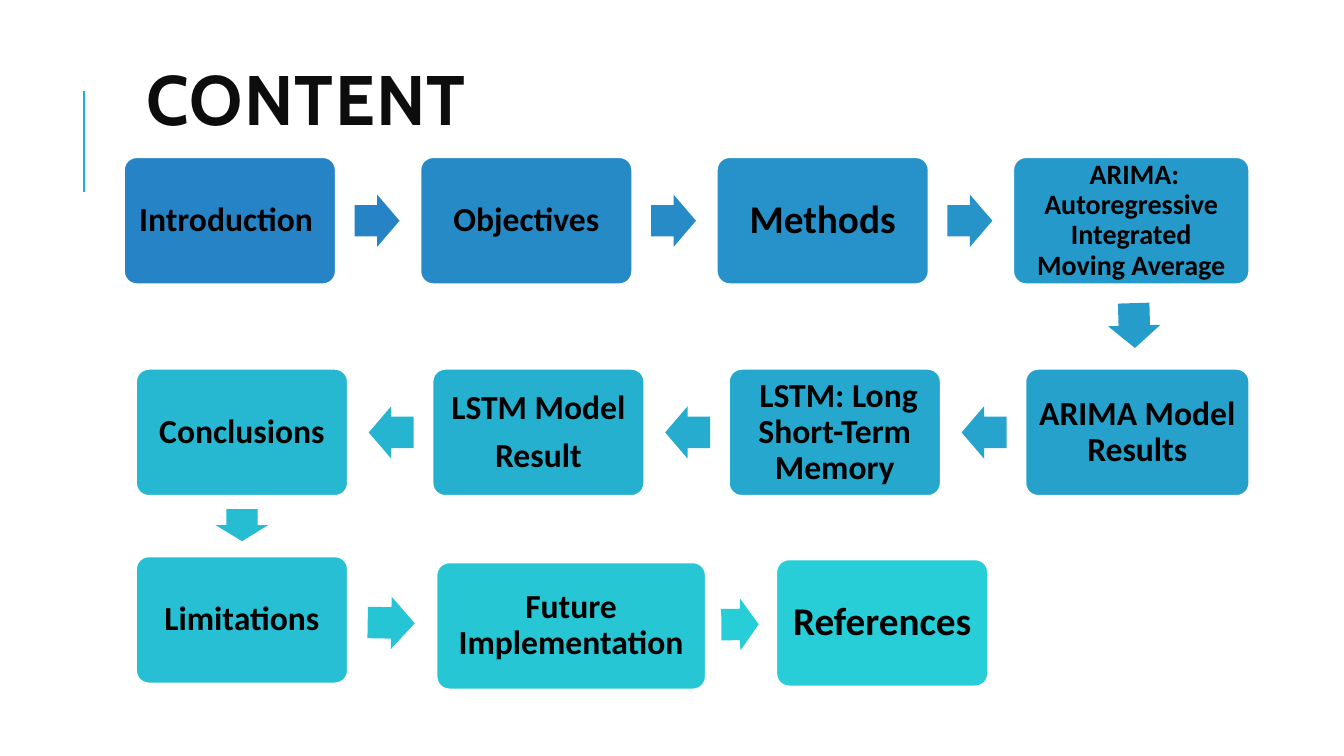
import math

import pptx
import pptx.dml.color
import pptx.enum.shapes
import pptx.enum.text
import pptx.util
from lxml import etree
from pptx.oxml.ns import qn

TITLE = "CONTENT"
COLORS = {"first": "2683C6", "last": "27CED7", "rule": "1CADE4",
          "title": "0D0D0D", "text": "000000", "edge": "FFFFFF"}

# Flow order: text, size in points, row, column, width
STEPS = [
    ("Introduction ", 24, 0, 0, 2.1),
    ("Objectives", 24, 0, 1, 2.1),
    ("Methods", 28, 0, 2, 2.1),
    (" ARIMA: Autoregressive Integrated Moving Average", 20, 0, 3, 2.34),
    ("ARIMA Model Results", 24, 1, 3, 2.22),
    (" LSTM: Long Short-Term Memory", 24, 1, 2, 2.1),
    ("LSTM Model\nResult", 24, 1, 1, 2.1),
    ("Conclusions", 24, 1, 0, 2.1),
    ("Limitations", 24, 2, 0, 2.1),
    ("Future Implementation", 24, 2, 1, 2.67),
    ("References", 28, 2, 2, 2.1),
]
PITCH = 2.94
ROW_LEFTS = [[start + PITCH * i for i in range(4)] for start in (1.23, 1.35)]
ROW_LEFTS.append([1.35, 4.33, 7.7])
ROW_TOPS = [[1.56] * 4, [3.66] * 4, [5.52, 5.58, 5.55]]
BOX_HEIGHT = 1.26
ARROW_WIDTH = 0.52
ARROW_SHARE = 0.53  # arrow length as a share of the gap between boxes

inch = pptx.util.Inches
rgb = pptx.dml.color.RGBColor.from_string
SHAPES = pptx.enum.shapes.MSO_SHAPE
MIDDLE = pptx.enum.text.MSO_ANCHOR.MIDDLE


def blend(share):
    """Colour at a share of the way from the first to the last step."""
    ends = [bytes.fromhex(COLORS[k]) for k in ("first", "last")]
    return "".join(f"{int(a + (b - a) * share):02X}" for a, b in zip(*ends))


def set_font(p, name, size, color):
    p.font.name, p.font.size, p.font.bold = name, pptx.util.Pt(size), True
    p.font.color.rgb = rgb(COLORS[color])


def add_filled(s, kind, box, adjustments, fill):
    sp = s.shapes.add_shape(kind, *map(inch, box))
    for i, value in enumerate(adjustments):
        sp.adjustments[i] = value
    sp.shadow.inherit = False
    sp.fill.solid()
    sp.fill.fore_color.rgb = rgb(fill)
    return sp


def add_step(s, text, size, box, fill):
    sp = add_filled(s, SHAPES.ROUNDED_RECTANGLE, box, [0.1], fill)
    sp.line.color.rgb = rgb(COLORS["edge"])
    sp.line.width = pptx.util.Pt(1.25)
    tf = sp.text_frame
    tf.word_wrap, tf.vertical_anchor = True, MIDDLE
    tf.margin_left = tf.margin_right = inch(size / 240)
    tf.margin_top = tf.margin_bottom = inch(size / 240)
    tf.text = text
    for p in tf.paragraphs:
        p.alignment = pptx.enum.text.PP_ALIGN.CENTER
        p.line_spacing = 0.9
        p.space_after = pptx.util.Pt(size * 0.35)
        set_font(p, "Calibri", size, "text")


def add_arrow(s, a, b, fill):
    """Arrow in the middle of the gap, pointing from box a to box b."""
    (ax, ay), (bx, by) = [(x + w / 2, y + h / 2) for x, y, w, h in (a, b)]
    dx, dy = bx - ax, by - ay
    cx, cy = (ax + bx) / 2, (ay + by) / 2
    axis = 0 if abs(dx) > abs(dy) else 1
    low, high = sorted((a, b), key=lambda box: box[axis])
    near = low[axis] + low[axis + 2]
    gap, middle = high[axis] - near, (high[axis] + near) / 2
    if axis == 0:
        cx = middle - math.copysign(0.01, dx)
    else:
        cy = middle - 0.01
    length = gap * ARROW_SHARE
    box = (cx - length / 2, cy - ARROW_WIDTH / 2, length, ARROW_WIDTH)
    sp = add_filled(s, SHAPES.RIGHT_ARROW, box, [0.6, 0.5], fill)
    sp.line.fill.background()
    sp.rotation = math.degrees(math.atan2(dy, dx)) % 360


def add_title(s):
    sp = s.shapes.title
    sp.left, sp.top, sp.width, sp.height = map(inch, (1.35, 0.22, 10.63, 1.64))
    tf = sp.text_frame
    tf.text = TITLE
    tf.vertical_anchor = MIDDLE
    tf.auto_size = pptx.enum.text.MSO_AUTO_SIZE.NONE
    p = tf.paragraphs[0]
    p.alignment = pptx.enum.text.PP_ALIGN.LEFT
    p.line_spacing = 0.8
    set_font(p, "Cabin", 50, "title")
    p.runs[0].font._element.set("spc", "100")


def add_rule(s):
    line = s.shapes.add_connector(pptx.enum.shapes.MSO_CONNECTOR.STRAIGHT,
                                  *map(inch, (0.83, 1.9, 0.83, 0.9)))
    line.line.color.rgb = rgb(COLORS["rule"])
    line.line.width = pptx.util.Pt(1.5)
    etree.SubElement(line._element.spPr, qn("a:effectLst"))


def main():
    prs = pptx.Presentation()
    prs.slide_width, prs.slide_height = inch(13.33), inch(7.5)
    s = prs.slides.add_slide(prs.slide_layouts.get_by_name("Title Only"))
    add_rule(s)
    add_title(s)

    boxes = [(ROW_LEFTS[row][col], ROW_TOPS[row][col], width, BOX_HEIGHT)
             for _, _, row, col, width in STEPS]
    last = len(STEPS) - 1
    for i, (text, size, *_) in enumerate(STEPS):
        add_step(s, text, size, boxes[i], blend(i / last))
        if i < last:
            add_arrow(s, boxes[i], boxes[i + 1], blend(i / (last - 1)))
    prs.save("out.pptx")


if __name__ == "__main__":
    main()
